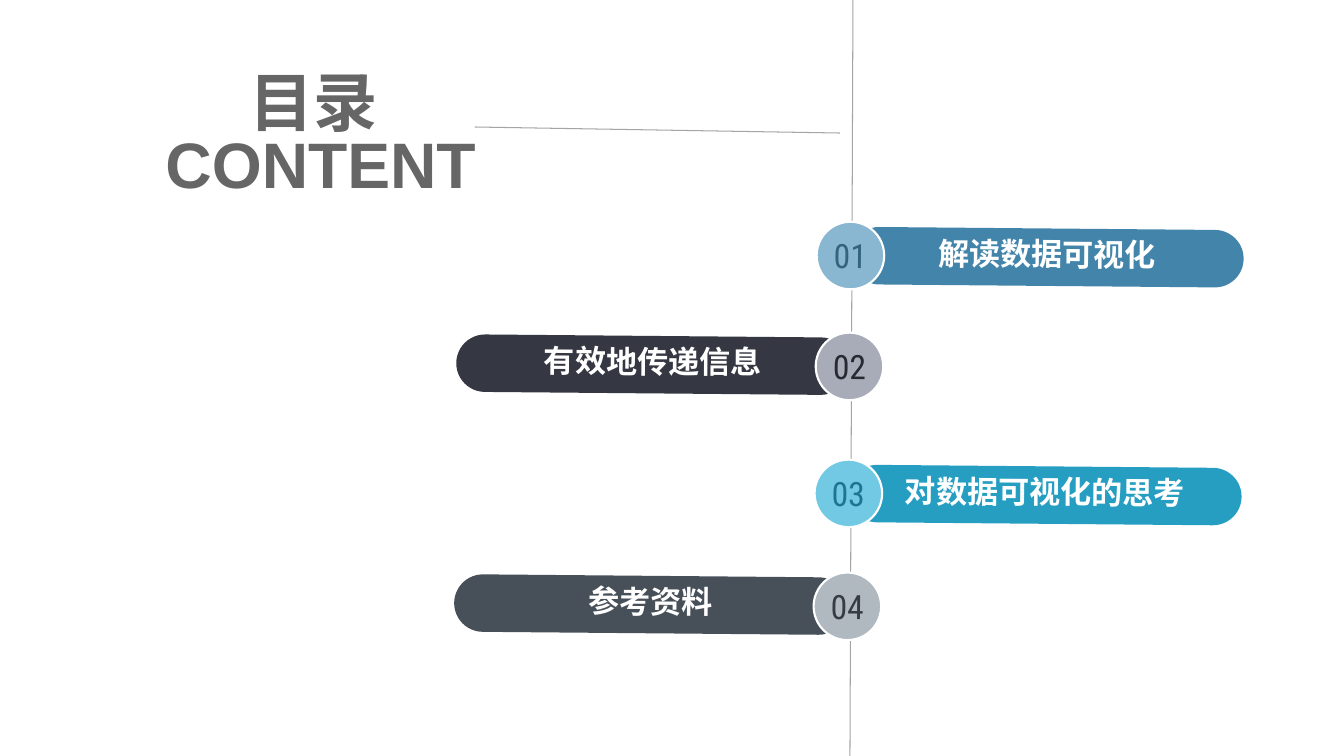
import math

import pptx
import pptx.util
from pptx.dml.color import RGBColor
from pptx.enum.shapes import MSO_CONNECTOR, MSO_SHAPE
from pptx.enum.text import MSO_ANCHOR, MSO_AUTO_SIZE, PP_ALIGN
from pptx.oxml.ns import qn
from pptx.util import Inches

TITLE = ("目录 ", "CONTENT")
COLORS = {"line": "A5A5A5", "title": "666666", "white": "FFFFFF"}
# number, heading, side (1 right, -1 left), centre y, bar, badge, number colour
SECTIONS = [
    ("01", "解读数据可视化", 1, 2.535, "4385AA", "89B6D0", "32637F"),
    ("02", "有效地传递信息", -1, 3.635, "353842", "A8ABB8", "272A31"),
    ("03", "对数据可视化的思考", 1, 4.895, "259EC2", "71C9E4", "1B7691"),
    ("04", "参考资料", -1, 6.015, "475059", "B0B9C0", "353C42"),
]
LINES = [((8.46, 0), (8.43, 7.5)), ((4.71, 1.26), (8.33, 1.32))]
TILT = 0.5  # degrees, shared by every bar and badge
BADGE = 0.67
BAR_W, BAR_H = 3.9, 0.57
BAR_OFFSET = 1.95  # badge centre to bar centre
FIRST_X, FIRST_Y = 8.435, SECTIONS[0][3]


def rgb(value):
    return RGBColor.from_string(value)


def add_run(p, text, font, size, color, bold=False):
    r = p.add_run()
    r.text = text
    r.font.name = font
    r.font.size = pptx.util.Pt(size)
    r.font.bold = bold
    r.font.color.rgb = rgb(color)


def add_line(s, start, end):
    line = s.shapes.add_connector(
        MSO_CONNECTOR.STRAIGHT, *(Inches(v) for v in start + end))
    line.line.color.rgb = rgb(COLORS["line"])
    line.line.width = pptx.util.Pt(0.75)
    props = line.element.spPr
    props.append(props.makeelement(qn("a:effectLst"), {}))


def add_tilted(s, kind, cx, cy, w, h, fill):
    """Add a filled, tilted shape around its centre; return it and its paragraph."""
    sp = s.shapes.add_shape(kind, Inches(cx - w / 2), Inches(cy - h / 2),
                            Inches(w), Inches(h))
    sp.shadow.inherit = False
    sp.rotation = TILT
    sp.fill.solid()
    sp.fill.fore_color.rgb = rgb(fill)
    sp.line.fill.background()
    tf = sp.text_frame
    tf.vertical_anchor = MSO_ANCHOR.MIDDLE
    p = tf.paragraphs[0]
    p.alignment = PP_ALIGN.CENTER
    return sp, p


def add_section(s, number, heading, side, cy, bar_color, badge_color, number_color):
    tilt = math.radians(TILT)
    cx = FIRST_X - (cy - FIRST_Y) * math.tan(tilt)

    bar, p = add_tilted(s, MSO_SHAPE.ROUNDED_RECTANGLE,
                        cx + side * BAR_OFFSET * math.cos(tilt),
                        cy + side * BAR_OFFSET * math.sin(tilt),
                        BAR_W, BAR_H, bar_color)
    bar.adjustments[0] = 0.5
    p.line_spacing = 0.8
    add_run(p, heading, "Arial", 22.2, COLORS["white"], bold=True)

    badge, p = add_tilted(s, MSO_SHAPE.OVAL, cx, cy, BADGE, BADGE, badge_color)
    badge.line.color.rgb = rgb(COLORS["white"])
    badge.line.width = pptx.util.Pt(1.5)
    tf = badge.text_frame
    tf.margin_left = tf.margin_right = tf.margin_top = tf.margin_bottom = 0
    add_run(p, number, "Roboto Condensed", 24, number_color)


def add_title(s):
    title = s.shapes.title
    title.left, title.top = Inches(1.29), Inches(0.72)
    title.width, title.height = Inches(3.78), Inches(1.41)
    tf = title.text_frame
    tf.word_wrap = True
    tf.auto_size = MSO_AUTO_SIZE.NONE
    tf.vertical_anchor = MSO_ANCHOR.TOP
    p = tf.paragraphs[0]
    p.alignment = PP_ALIGN.CENTER
    p.line_spacing = 0.8
    for i, text in enumerate(TITLE):
        if i:
            p.add_line_break()
        add_run(p, text, "Arial", 45.9, COLORS["title"], bold=True)


def main():
    prs = pptx.Presentation()
    prs.slide_width, prs.slide_height = Inches(13.33), Inches(7.5)
    s = prs.slides.add_slide(prs.slide_layouts[5])
    add_title(s)
    for start, end in LINES:
        add_line(s, start, end)
    for section in SECTIONS:
        add_section(s, *section)
    prs.save("out.pptx")


if __name__ == "__main__":
    main()
